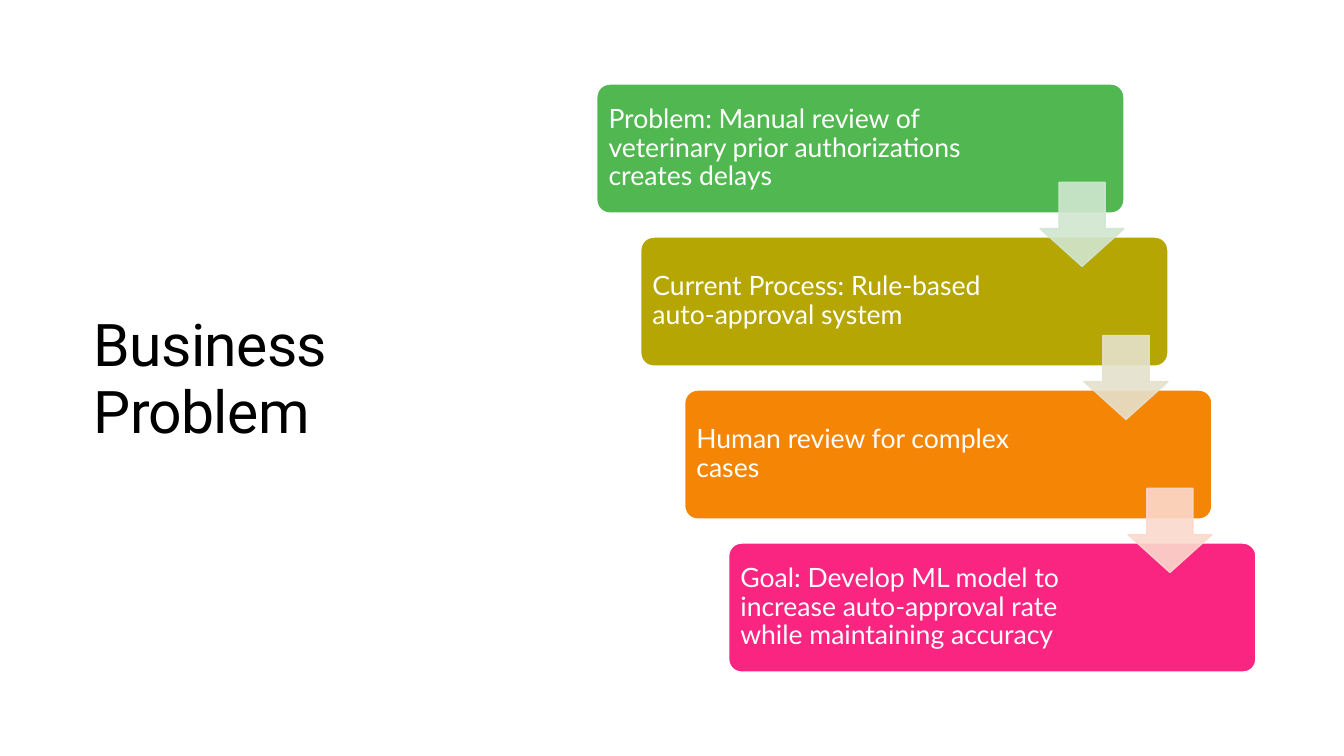
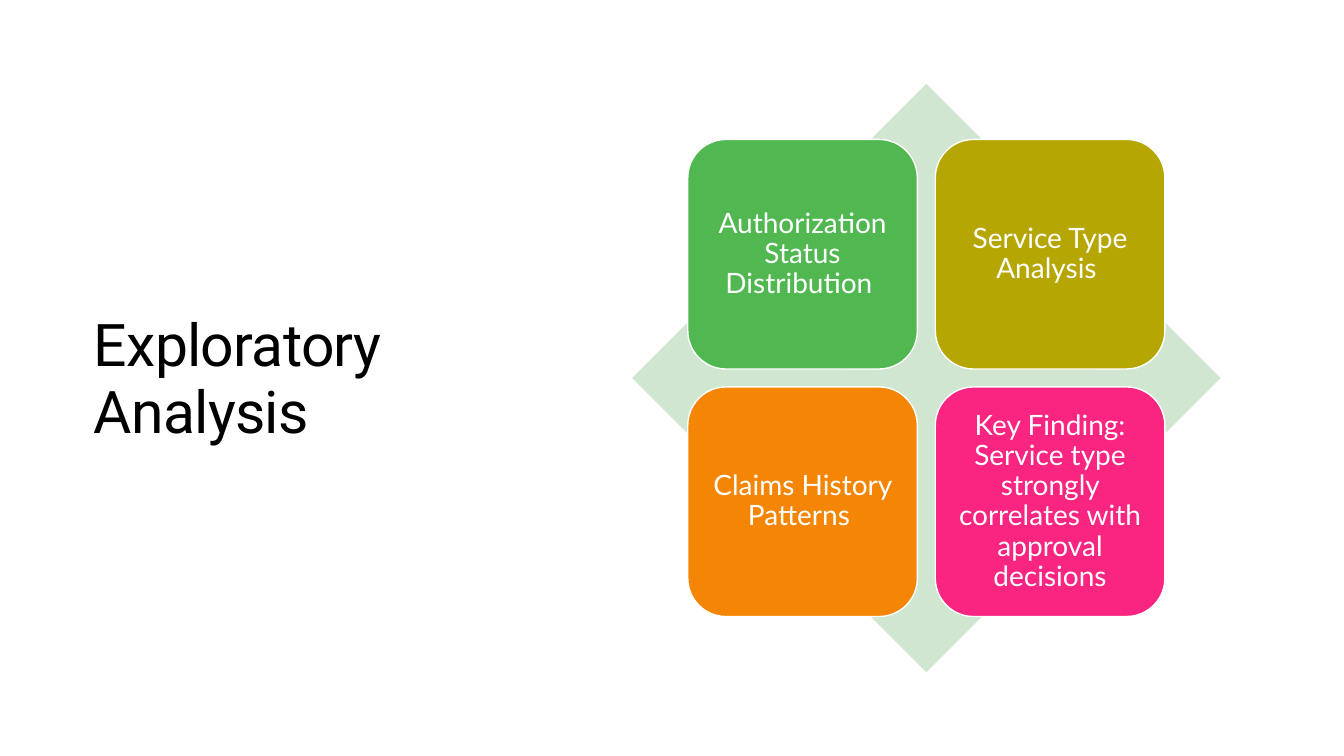
from lxml import etree
from pptx import Presentation
from pptx.dml.color import RGBColor
from pptx.enum import shapes, text
from pptx.oxml.ns import qn
from pptx.util import Pt

WIDE, HIGH = 960, 540
WHITE = "FFFFFF"
HUES = ["51B851", "B5A603", "F58505", "FA2481"]
PALE = ["D0E6D0", "E5E1CC", "FBD9CC"]
KIND = shapes.MSO_SHAPE

TITLE = {"name": "Roboto", "size": Pt(42), "color": "000000"}
STEP = {"name": "Lato", "size": Pt(19), "color": WHITE}
TILE = {"name": "Lato", "size": Pt(20), "color": WHITE}

STEPS = [
    "Problem: Manual review of veterinary prior authorizations creates delays",
    "Current Process: Rule-based auto-approval system",
    "Human review for complex cases",
    "Goal: Develop ML model to increase auto-approval rate while maintaining accuracy",
]
TILES = [
    "Authorization Status Distribution ",
    "Service Type Analysis ",
    "Claims History Patterns ",
    "Key Finding: Service type strongly correlates with approval decisions",
]


def paint(color, code):
    color.rgb = RGBColor.from_string(code)


def fade(color_format, percent):
    """Set the opacity of a solid fill."""
    for node in color_format.iter(qn("a:srgbClr")):
        etree.SubElement(node, qn("a:alpha"), val=str(percent * 1000))


def write(shape, words, style, align, space, pads):
    frame = shape.text_frame
    frame.word_wrap = True
    frame.vertical_anchor = text.MSO_ANCHOR.MIDDLE
    for side, pad in zip(("left", "top", "right", "bottom"), pads):
        setattr(frame, "margin_" + side, Pt(pad))
    para = frame.paragraphs[0]
    para.alignment, para.line_spacing = align, space
    run = para.add_run()
    run.text = words
    for key, value in style.items():
        if key == "color":
            paint(run.font.color, value)
        else:
            setattr(run.font, key, value)
    return run


def add_form(slide, kind, box, fill, line=None, bends=()):
    """Add a preset shape; bends are its adjustments."""
    form = slide.shapes.add_shape(kind, *map(Pt, box))
    form.shadow.inherit = False
    for i, bend in enumerate(bends):
        form.adjustments[i] = bend
    form.fill.solid()
    paint(form.fill.fore_color, fill)
    if line:
        paint(form.line.color, line)
        form.line.width = Pt(1)
    else:
        form.line.fill.background()
    return form


def add_slide(deck, title):
    slide = deck.slides.add_slide(deck.slide_layouts[6])
    box = slide.shapes.add_textbox(Pt(60), Pt(61), Pt(307.5), Pt(420))
    run = write(box, title, TITLE, text.PP_ALIGN.LEFT, 0.95, (7.2, 3.6, 7.2, 3.6))
    run.font._element.set("spc", "-50")
    return slide


def add_steps(slide):
    left, top, wide, high = 426.3, 60, 376.6, 92.2
    shift, drop, size = 31.4, 109.3, 60
    for i, (words, hue) in enumerate(zip(STEPS, HUES)):
        box = (left + i * shift, top + i * drop, wide, high)
        step = add_form(slide, KIND.ROUNDED_RECTANGLE, box, hue, WHITE, [0.1])
        write(step, words, STEP, text.PP_ALIGN.LEFT, 0.9, (5.7, 5.7, 106, 5.7))
    for i, hue in enumerate(PALE):
        box = (left + wide - size + i * shift, 130.3 + i * drop, size, size)
        arrow = add_form(slide, KIND.DOWN_ARROW, box, hue, hue, [0.55, 0.45])
        fade(arrow._element.spPr, 90)


def add_tiles(slide):
    mid_x, mid_y, span, size, gap = 661.7, HIGH / 2, 420.4, 164, 12.8
    box = (mid_x - span / 2, mid_y - span / 2, span, span)
    add_form(slide, KIND.DIAMOND, box, PALE[0])
    edge, pitch = size + gap / 2, size + gap
    for i, (words, hue) in enumerate(zip(TILES, HUES)):
        row, col = divmod(i, 2)
        box = (mid_x - edge + col * pitch, mid_y - edge + row * pitch, size, size)
        tile = add_form(slide, KIND.ROUNDED_RECTANGLE, box, hue, WHITE)
        write(tile, words, TILE, text.PP_ALIGN.CENTER, 0.9, [6] * 4)


def main():
    deck = Presentation()
    deck.slide_width, deck.slide_height = Pt(WIDE), Pt(HIGH)
    add_steps(add_slide(deck, "Business Problem"))
    add_tiles(add_slide(deck, "Exploratory Analysis"))
    deck.save("out.pptx")


if __name__ == "__main__":
    main()
